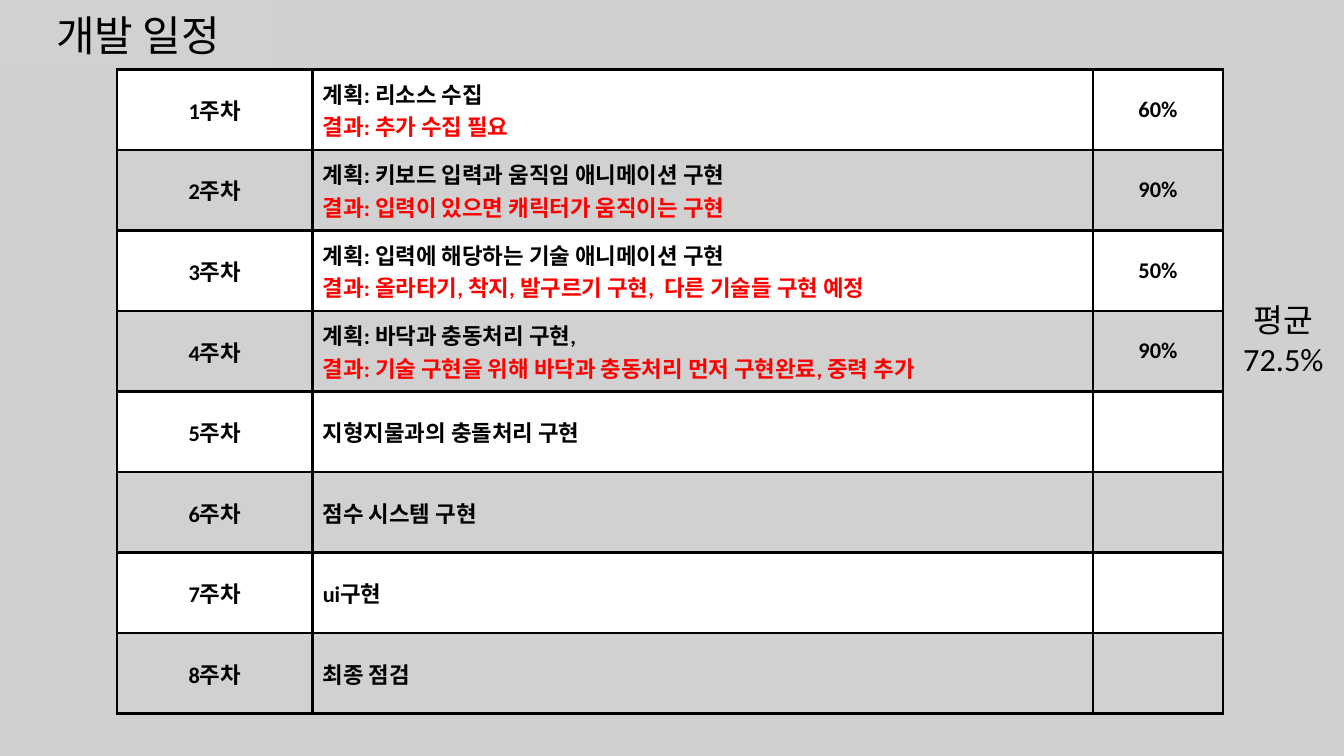
from lxml import etree
from pptx import Presentation
from pptx.dml.color import RGBColor
from pptx.enum.text import MSO_ANCHOR as Anchor, PP_ALIGN as Align
from pptx.oxml.ns import qn
from pptx.util import Cm, Pt

BLACK = RGBColor(0x00, 0x00, 0x00)
RED = RGBColor(0xFF, 0x00, 0x00)
WHITE = RGBColor(0xFF, 0xFF, 0xFF)
GRAY = RGBColor(0xD1, 0xD1, 0xD1)
BACKGROUND = RGBColor(0xD0, 0xD0, 0xD0)

WEEKS = [
    (["계획: 리소스 수집", "결과: 추가 수집 필요"], "60%"),
    (["계획: 키보드 입력과 움직임 애니메이션 구현",
      "결과: 입력이 있으면 캐릭터가 움직이는 구현"], "90%"),
    (["계획: 입력에 해당하는 기술 애니메이션 구현",
      "결과: 올라타기, 착지, 발구르기 구현,  다른 기술들 구현 예정"], "50%"),
    (["계획: 바닥과 충동처리 구현,",
      "결과: 기술 구현을 위해 바닥과 충동처리 먼저 구현완료, 중력 추가"], "90%"),
    (["지형지물과의 충돌처리 구현"], ""),
    (["점수 시스템 구현"], ""),
    (["ui구현"], ""),
    (["최종 점검"], ""),
]
COLUMN_WIDTHS = [Cm(4.93), Cm(19.66), Cm(3.28)]
ROW_HEIGHT = Cm(2.03)


def write_lines(frame, lines, size, align, bold=False):
    """Write one paragraph per line; result lines turn red."""
    frame.text = "\n".join(lines)
    for para in frame.paragraphs:
        para.alignment = align
        para.font.name = "Calibri"
        para.font.size = Pt(size)
        para.font.bold = bold
        para.font.color.rgb = RED if para.text.startswith("결과") else BLACK


def add_borders(cell):
    properties = cell._tc.get_or_add_tcPr()
    for side in ("a:lnL", "a:lnR", "a:lnT", "a:lnB"):
        line = etree.SubElement(properties, qn(side), w=str(Pt(2)))
        fill = etree.SubElement(line, qn("a:solidFill"))
        etree.SubElement(fill, qn("a:srgbClr"), val=str(BLACK))


deck = Presentation()
deck.slide_width, deck.slide_height = Cm(33.87), Cm(19.05)
page = deck.slides.add_slide(deck.slide_layouts[6])
page.background.fill.solid()
page.background.fill.fore_color.rgb = BACKGROUND

title = page.shapes.add_textbox(Cm(0), Cm(0), Cm(6.96), Cm(1.75))
title.fill.solid()
title.fill.fore_color.rgb = GRAY
title.text_frame.word_wrap = True
title.text_frame.vertical_anchor = Anchor.MIDDLE
write_lines(title.text_frame, ["개발 일정"], 30, Align.CENTER)

average = page.shapes.add_textbox(Cm(30.83), Cm(7.44), Cm(3.03), Cm(2.11))
average.fill.solid()
average.fill.fore_color.rgb = BACKGROUND
average.text_frame.word_wrap = True
write_lines(average.text_frame, ["평균 72.5%"], 23.1, Align.CENTER)

schedule = page.shapes.add_table(
    len(WEEKS), len(COLUMN_WIDTHS), Cm(2.95), Cm(1.75),
    sum(COLUMN_WIDTHS), ROW_HEIGHT * len(WEEKS)).table
for column, width in zip(schedule.columns, COLUMN_WIDTHS):
    column.width = width

for index, (tasks, progress) in enumerate(WEEKS):
    schedule.rows[index].height = ROW_HEIGHT
    contents = [
        ([f"{index + 1}주차"], Align.CENTER),
        (tasks, Align.LEFT),
        ([progress], Align.CENTER),
    ]
    for cell, (lines, align) in zip(schedule.rows[index].cells, contents):
        cell.vertical_anchor = Anchor.MIDDLE
        add_borders(cell)
        cell.fill.solid()
        cell.fill.fore_color.rgb = GRAY if index % 2 else WHITE
        write_lines(cell.text_frame, lines, 16, align, bold=True)

deck.save("out.pptx")
